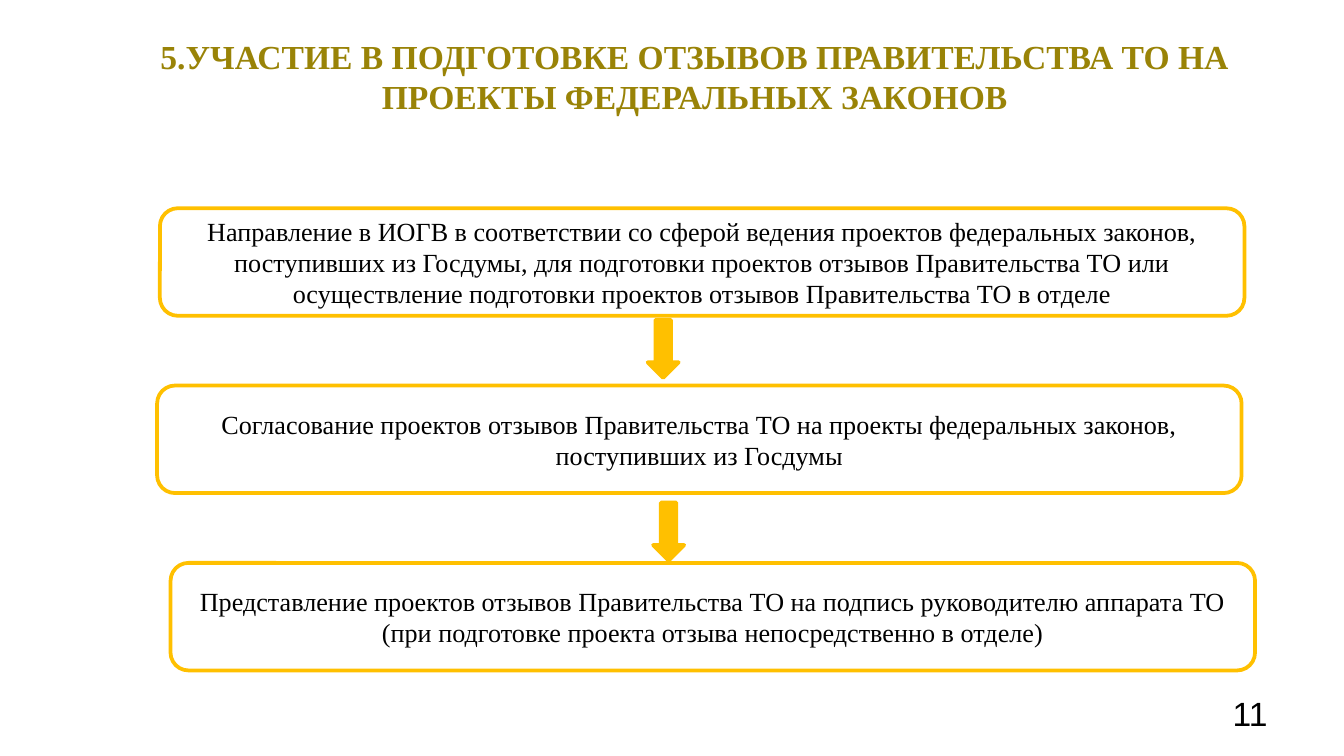
from pptx import Presentation
from pptx.dml.color import RGBColor
from pptx.enum.shapes import MSO_SHAPE
from pptx.enum.text import MSO_ANCHOR, PP_ALIGN
from pptx.util import Pt

COLORS = {"title": "998307", "text": "000000", "accent": "FFC000"}
SERIF = "Times New Roman"

TITLE = "5.УЧАСТИЕ В ПОДГОТОВКЕ ОТЗЫВОВ ПРАВИТЕЛЬСТВА ТО НА ПРОЕКТЫ ФЕДЕРАЛЬНЫХ ЗАКОНОВ"
STEPS = [
    (85.7, "Направление в ИОГВ в соответствии со сферой ведения проектов федеральных законов, "
           "поступивших из Госдумы, для подготовки проектов отзывов Правительства ТО или "
           "осуществление подготовки проектов отзывов Правительства ТО в отделе"),
    (84.2, "Согласование проектов отзывов Правительства ТО на проекты федеральных законов, "
           "поступивших из Госдумы"),
    (91.4, "Представление проектов отзывов Правительства ТО на подпись руководителю аппарата ТО "
           "(при подготовке проекта отзыва непосредственно в отделе)"),
]
STEP_TOP, STEP_PITCH, STEP_WIDTH, STEP_HEIGHT = 111.6, 95, 581, 57.6
ARROWS = [(347, 171.4), (349.9, 269.3)]
ARROW_WIDTH, ARROW_HEIGHT = 16.6, 31


def color(name):
    return RGBColor.from_string(COLORS[name])


def write(shape, text, size, font=SERIF, ink="text", bold=False,
          align=PP_ALIGN.CENTER, anchor=MSO_ANCHOR.TOP):
    frame = shape.text_frame
    frame.word_wrap = True
    frame.vertical_anchor = anchor
    frame.margin_left = frame.margin_right = Pt(5)
    frame.margin_top = frame.margin_bottom = Pt(2.5)
    para = frame.paragraphs[0]
    para.alignment = align
    span = para.add_run()
    span.text = text
    span.font.name = font
    span.font.size = Pt(size)
    span.font.bold = bold
    span.font.color.rgb = color(ink)


def add_label(page, box, text, size, **style):
    write(page.shapes.add_textbox(*map(Pt, box)), text, size, **style)


def add_outlined(page, kind, box):
    """Add a preset shape with the accent outline and no shadow."""
    shape = page.shapes.add_shape(kind, *map(Pt, box))
    shape.shadow.inherit = False
    shape.line.color.rgb = color("accent")
    shape.line.width = Pt(2)
    return shape


def add_step(page, box, text):
    step = add_outlined(page, MSO_SHAPE.ROUNDED_RECTANGLE, box)
    step.fill.background()
    write(step, text, 14, anchor=MSO_ANCHOR.MIDDLE)


def add_arrow(page, box):
    arrow = add_outlined(page, MSO_SHAPE.DOWN_ARROW, box)
    arrow.fill.solid()
    arrow.fill.fore_color.rgb = color("accent")


def main():
    deck = Presentation()
    deck.slide_width, deck.slide_height = Pt(720), Pt(405)
    page = deck.slides.add_slide(deck.slide_layouts[6])

    add_label(page, (60.5, 16.6, 623.5, 67.7), TITLE, 18, ink="title", bold=True)
    add_label(page, (516.2, 368.6, 167.8, 28), "11", 18, font="Arial", align=PP_ALIGN.RIGHT)
    for index, (left, text) in enumerate(STEPS):
        top = STEP_TOP + index * STEP_PITCH
        add_step(page, (left, top, STEP_WIDTH, STEP_HEIGHT), text)
    for left, top in ARROWS:
        add_arrow(page, (left, top, ARROW_WIDTH, ARROW_HEIGHT))

    deck.save("out.pptx")


if __name__ == "__main__":
    main()
